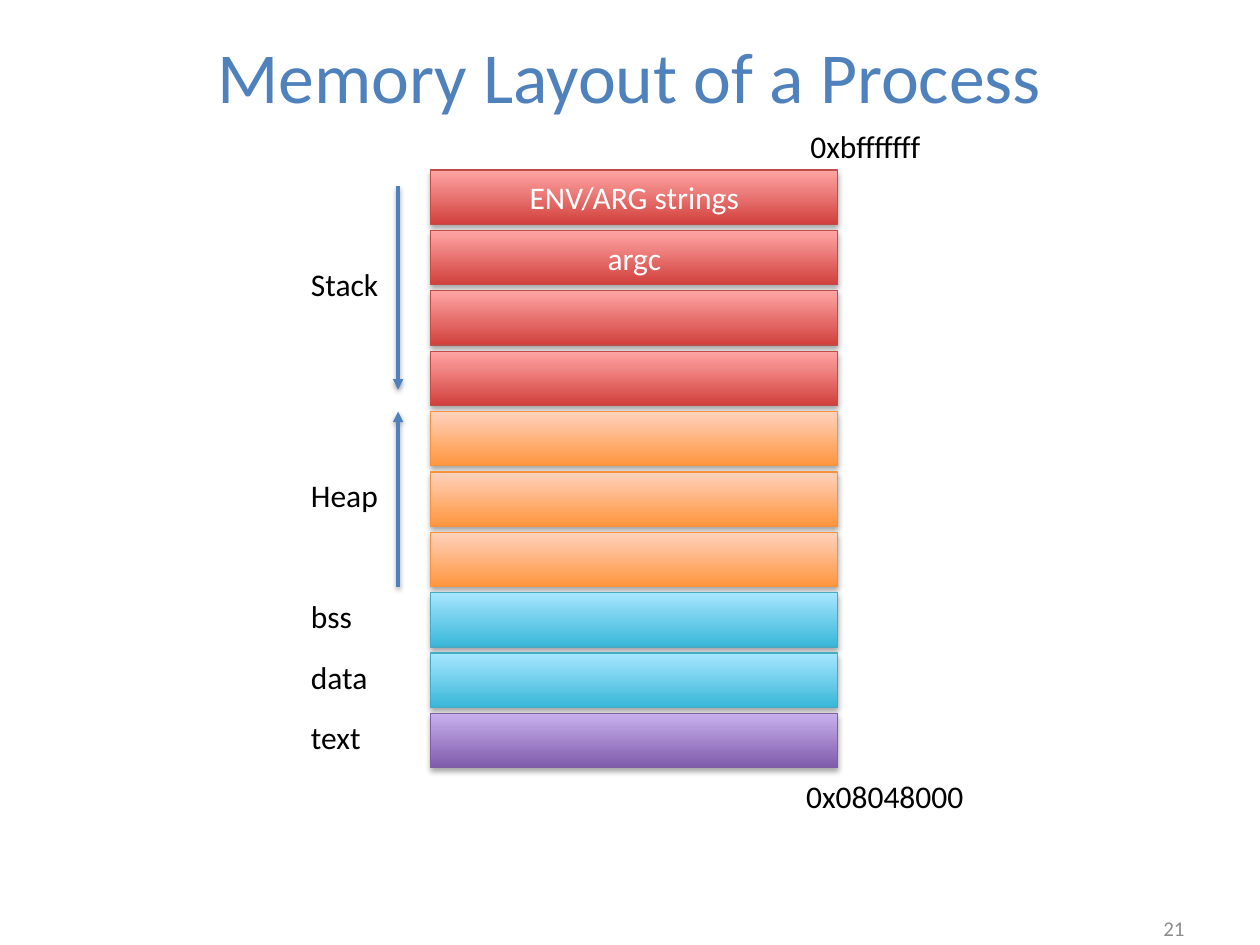
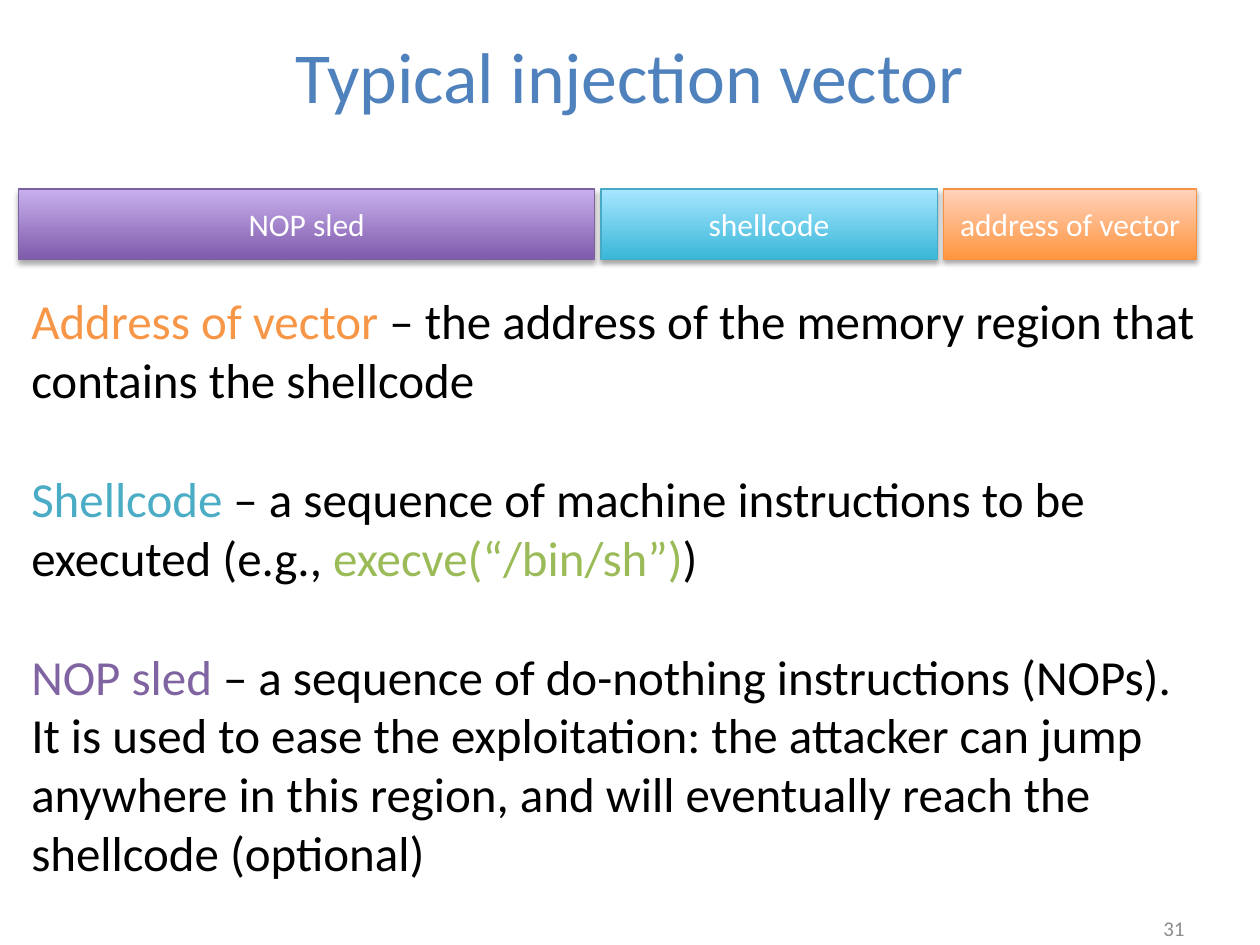
from dataclasses import dataclass

from lxml.etree import SubElement
from pptx import Presentation
from pptx.dml.color import RGBColor
from pptx.enum.shapes import MSO_CONNECTOR, MSO_SHAPE
from pptx.enum.text import MSO_ANCHOR, PP_ALIGN
from pptx.oxml.ns import qn
from pptx.util import Pt

# Content
MEMORY_TITLE, MEMORY_NUMBER = "Memory Layout of a Process", "21"
# label, tint, texts of the cells, growth direction, arrow inset
MEMORY_REGIONS = [
    ("Stack", "red", ["ENV/ARG strings", "argc", "", ""], "down", 9),
    ("Heap", "orange", ["", "", ""], "up", 0),
    ("bss", "blue", [""], None, 0),
    ("data", "blue", [""], None, 0),
    ("text", "purple", [""], None, 0),
]
# text, left, top, width
ADDRESSES = [("0xbfffffff", 456, 69, 78.5), ("0x08048000", 453.6, 440.5, 105)]

VECTOR_TITLE, VECTOR_NUMBER = "Typical injection vector", "31"
VECTOR_PARTS = [("NOP sled", "purple", 329), ("shellcode", "blue", 192.2),
                ("address of vector", "orange", 144.7)]
DEFINITIONS = [
    [("Address of vector ", "F79646"),
     ("– the address of the memory region that contains the shellcode", "000000")],
    [("Shellcode ", "4BACC6"),
     ("– a sequence of machine instructions to be executed (e.g., ", "000000"),
     ("execve(“/bin/sh”)", "9BBB59"), (")", "000000")],
    [("NOP sled ", "8064A2"),
     ("– a sequence of do-nothing instructions (NOPs). It is used to ease the "
      "exploitation: the attacker can jump anywhere in this region, and will "
      "eventually reach the shellcode (optional)", "000000")],
]


@dataclass(frozen=True)
class Theme:
    font: str = "Calibri"
    accent: str = "4F81BD"
    text: str = "000000"
    on_block: str = "FFFFFF"
    muted: str = "8C8C8C"
    title_size: float = 41
    body_size: float = 28
    label_size: float = 18
    number_size: float = 12


THEME = Theme()
# bottom colour, top colour, outline
TINTS = {
    "red": ("D1403C", "FFA6A5", "BF4C48"),
    "orange": ("FF953E", "FFD2BD", "F69240"),
    "blue": ("39B7D8", "A7E6FF", "46AAC5"),
    "purple": ("7F5BAB", "C8B0ED", "7D60A0"),
}

# Geometry in points
CELL_LEFT, CELL_TOP, CELL_WIDTH, CELL_HEIGHT, CELL_PITCH = 246.2, 97.2, 232.6, 31, 34.5
LABEL_LEFT, LABEL_WIDTH, LABEL_HEIGHT, LABEL_RISE = 170.6, 75.6, 29, 16.5
ARROW_X = 227.5
VECTOR_LEFT, VECTOR_TOP, VECTOR_HEIGHT, VECTOR_GAP = 10.8, 108, 40.3, 3.6
DEFINITION_GAP = 34.2


# Shared parts
def style(paragraph, size, color, align=PP_ALIGN.LEFT):
    paragraph.alignment = align
    paragraph.font.name = THEME.font
    paragraph.font.size = Pt(size)
    paragraph.font.color.rgb = RGBColor.from_string(color)


def add_text(slide, text, box, size, color=THEME.text, align=PP_ALIGN.LEFT,
             anchor=MSO_ANCHOR.TOP, wrap=True):
    frame = slide.shapes.add_textbox(*map(Pt, box)).text_frame
    frame.word_wrap = wrap
    frame.vertical_anchor = anchor
    frame.text = text
    style(frame.paragraphs[0], size, color, align)
    return frame


def add_shadow(shape, distance, opacity):
    properties = shape._element.spPr
    effects = properties.find(qn("a:effectLst"))
    if effects is None:
        effects = SubElement(properties, qn("a:effectLst"))
    shadow = SubElement(effects, qn("a:outerShdw"), blurRad=str(Pt(3.1)),
                        dist=str(Pt(distance)), dir="5400000", rotWithShape="0")
    color = SubElement(shadow, qn("a:srgbClr"), val="000000")
    SubElement(color, qn("a:alpha"), val=str(opacity * 1000))


def add_block(slide, text, tint, box):
    shape = slide.shapes.add_shape(MSO_SHAPE.RECTANGLE, *map(Pt, box))
    bottom, top, outline = TINTS[tint]
    shape.fill.gradient()
    shape.fill.gradient_angle = 90
    for stop, color in zip(shape.fill.gradient_stops, (bottom, top)):
        stop.color.rgb = RGBColor.from_string(color)
    shape.line.color.rgb = RGBColor.from_string(outline)
    shape.line.width = Pt(0.75)
    shape.shadow.inherit = False
    add_shadow(shape, 1.8, 35)
    if text:
        frame = shape.text_frame
        frame.text = text
        frame.vertical_anchor = MSO_ANCHOR.MIDDLE
        style(frame.paragraphs[0], THEME.label_size, THEME.on_block, PP_ALIGN.CENTER)


def add_arrow(slide, x, start, end):
    connector = slide.shapes.add_connector(
        MSO_CONNECTOR.STRAIGHT, Pt(x), Pt(start), Pt(x), Pt(end))
    connector.line.color.rgb = RGBColor.from_string(THEME.accent)
    connector.line.width = Pt(2)
    SubElement(connector._element.spPr.find(qn("a:ln")), qn("a:tailEnd"), type="triangle")
    add_shadow(connector, 1.6, 38)


def add_slide(presentation, title, number):
    slide = presentation.slides.add_slide(presentation.slide_layouts[6])
    add_text(slide, title, (36, 7.2, 648, 71.3), THEME.title_size, THEME.accent,
             PP_ALIGN.CENTER, MSO_ANCHOR.MIDDLE)
    add_text(slide, number, (623.5, 516.2, 60.5, 28.8), THEME.number_size, THEME.muted,
             PP_ALIGN.RIGHT, MSO_ANCHOR.MIDDLE)
    return slide


# Slides
def build_memory_slide(presentation):
    slide = add_slide(presentation, MEMORY_TITLE, MEMORY_NUMBER)
    top = CELL_TOP
    for label, tint, cells, growth, inset in MEMORY_REGIONS:
        for row, text in enumerate(cells):
            add_block(slide, text, tint,
                      (CELL_LEFT, top + row * CELL_PITCH, CELL_WIDTH, CELL_HEIGHT))
        bottom = top + (len(cells) - 1) * CELL_PITCH + CELL_HEIGHT
        if growth:
            ends = (top + inset, bottom - inset)
            add_arrow(slide, ARROW_X, *(ends if growth == "down" else reversed(ends)))
        add_text(slide, label, (LABEL_LEFT, (top + bottom) / 2 - LABEL_RISE,
                                LABEL_WIDTH, LABEL_HEIGHT), THEME.label_size)
        top += len(cells) * CELL_PITCH
    for address, left, address_top, width in ADDRESSES:
        add_text(slide, address, (left, address_top, width, LABEL_HEIGHT),
                 THEME.label_size, wrap=False)


def build_vector_slide(presentation):
    slide = add_slide(presentation, VECTOR_TITLE, VECTOR_NUMBER)
    left = VECTOR_LEFT
    for text, tint, width in VECTOR_PARTS:
        add_block(slide, text, tint, (left, VECTOR_TOP, width, VECTOR_HEIGHT))
        left += width + VECTOR_GAP

    frame = add_text(slide, "", (VECTOR_LEFT, 162.7, 679, 346.3), THEME.body_size)
    for index, pieces in enumerate(DEFINITIONS):
        paragraph = frame.add_paragraph() if index else frame.paragraphs[0]
        style(paragraph, THEME.body_size, THEME.text)
        if index:
            paragraph.space_before = Pt(DEFINITION_GAP)
        for text, color in pieces:
            run = paragraph.add_run()
            run.text = text
            run.font.color.rgb = RGBColor.from_string(color)


def main():
    presentation = Presentation()
    presentation.slide_width, presentation.slide_height = Pt(720), Pt(540)
    build_memory_slide(presentation)
    build_vector_slide(presentation)
    presentation.save("out.pptx")


if __name__ == "__main__":
    main()
